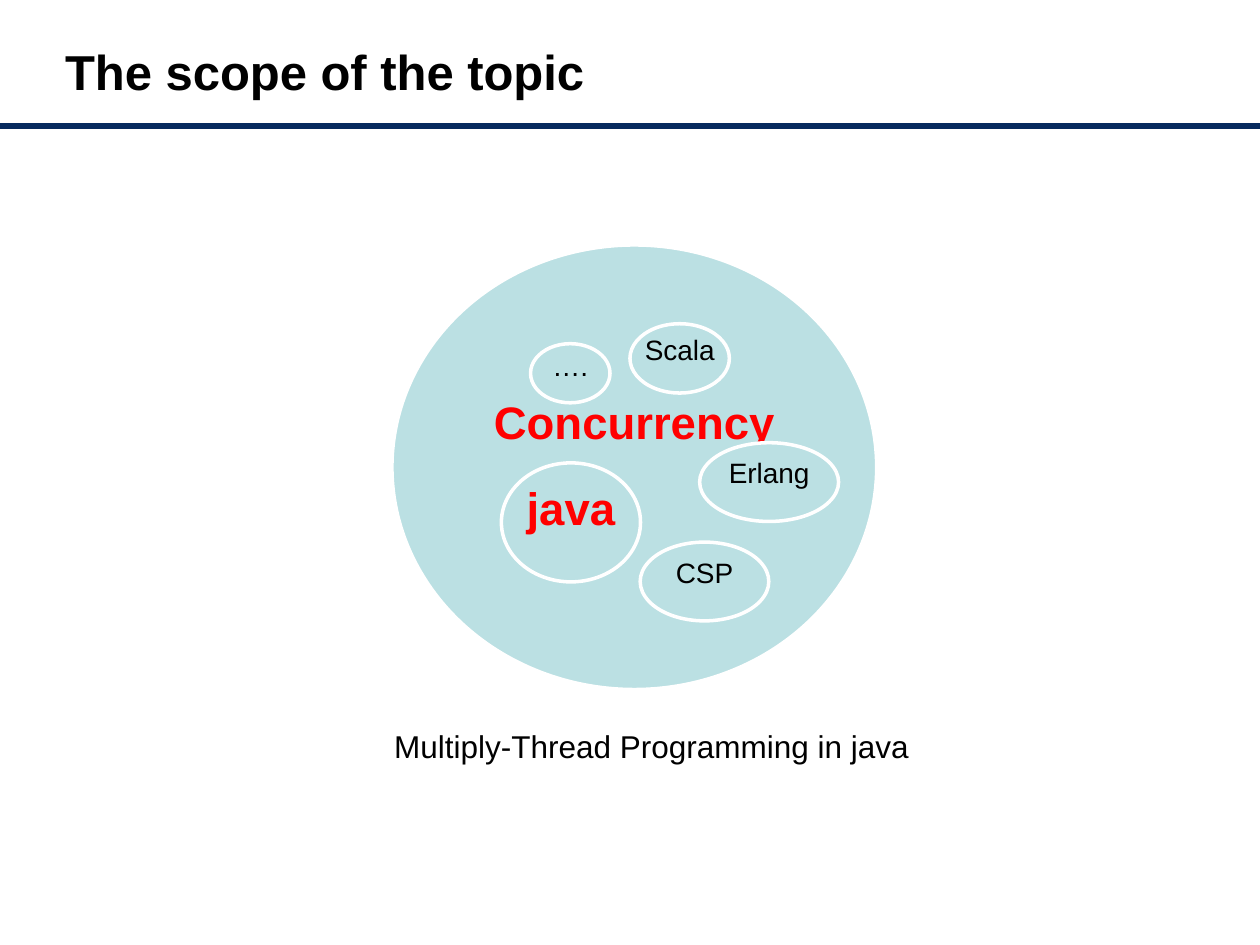
from lxml.etree import SubElement
from pptx import Presentation
from pptx.dml.color import RGBColor
from pptx.enum.shapes import MSO_CONNECTOR, MSO_SHAPE
from pptx.enum.text import MSO_ANCHOR, PP_ALIGN
from pptx.oxml.ns import qn
from pptx.util import Pt

THEME = {
    "font": "Arial",
    "ink": RGBColor(0, 0, 0),
    "accent": RGBColor(0xFF, 0, 0),
    "rule": RGBColor(0x07, 0x2A, 0x5E),
    "bubble": RGBColor(0xBB, 0xE0, 0xE3),
    "outline": RGBColor(0xFF, 0xFF, 0xFF),
    "title": 28,
    "key": 26,
    "label": 16,
    "caption": 18,
}
NO_MARGIN = dict.fromkeys(
    ("margin_left", "margin_top", "margin_right", "margin_bottom"), Pt(0)
)
KEY = {"size": THEME["key"], "color": THEME["accent"], "bold": True}
LABEL = {"size": THEME["label"]}
BUBBLES = [
    ("Concurrency", (224, 140, 277, 254), KEY),
    ("java", (286.5, 264.5, 79.5, 68), KEY),
    ("CSP", (365.8, 309.8, 73.5, 45), LABEL),
    ("Erlang", (399.8, 253, 79.4, 45), LABEL),
    ("Scala", (360, 185, 56.8, 39.6), LABEL),
    ("….", (303.2, 196.4, 45.4, 33.8), LABEL),
]


def apply(target, values):
    for name, value in values.items():
        setattr(target, name, value)


def place(box):
    return [Pt(length) for length in box]


def write(frame, text, size, color=THEME["ink"], bold=False,
          frame_format=None, paragraph_format=None):
    apply(frame, frame_format or {})
    paragraph = frame.paragraphs[0]
    apply(paragraph, paragraph_format or {})
    run = paragraph.add_run()
    run.text = text
    apply(run.font, {"name": THEME["font"], "size": Pt(size), "bold": bold})
    run.font.color.rgb = color


def add_heading(slide, box):
    left, top, width, height = box
    heading = slide.shapes.title
    apply(heading, dict(zip(("left", "top", "width", "height"), place(box))))
    write(heading.text_frame, "The scope of the topic", THEME["title"], bold=True,
          frame_format={"vertical_anchor": MSO_ANCHOR.MIDDLE},
          paragraph_format={"alignment": PP_ALIGN.LEFT})
    rule_y = top + height + 9.4
    rule = slide.shapes.add_connector(
        MSO_CONNECTOR.STRAIGHT, *place((0, rule_y, 720, rule_y)))
    rule.line.color.rgb = THEME["rule"]
    rule.line.width = Pt(3)
    SubElement(rule._element.spPr, qn("a:effectLst"))


def add_bubble(slide, text, box, style):
    left, top, width, height = box
    group = slide.shapes.add_group_shape()
    bubble = group.shapes.add_shape(MSO_SHAPE.OVAL, *place(box))
    bubble.shadow.inherit = False
    bubble.fill.solid()
    bubble.fill.fore_color.rgb = THEME["bubble"]
    bubble.line.color.rgb = THEME["outline"]
    bubble.line.width = Pt(2)
    label_box = (left + 0.13 * width, top + 0.18 * height,
                 0.74 * width, 0.45 * height)
    label = group.shapes.add_textbox(*place(label_box))
    write(label.text_frame, text, **style,
          frame_format={**NO_MARGIN, "word_wrap": True,
                        "vertical_anchor": MSO_ANCHOR.MIDDLE},
          paragraph_format={"alignment": PP_ALIGN.CENTER, "line_spacing": 0.9})


def add_caption(slide, box):
    caption = slide.shapes.add_textbox(*place(box))
    write(caption.text_frame, "Multiply-Thread Programming in java",
          THEME["caption"], frame_format={"word_wrap": False})


def build():
    deck = Presentation()
    apply(deck, {"slide_width": Pt(720), "slide_height": Pt(540)})
    slide = deck.slides.add_slide(deck.slide_layouts[5])
    add_heading(slide, (30, 18, 648, 44.6))
    for text, box, style in BUBBLES:
        add_bubble(slide, text, box, style)
    add_caption(slide, (218.2, 411.8, 311.8, 28.8))
    deck.save("out.pptx")


build()
